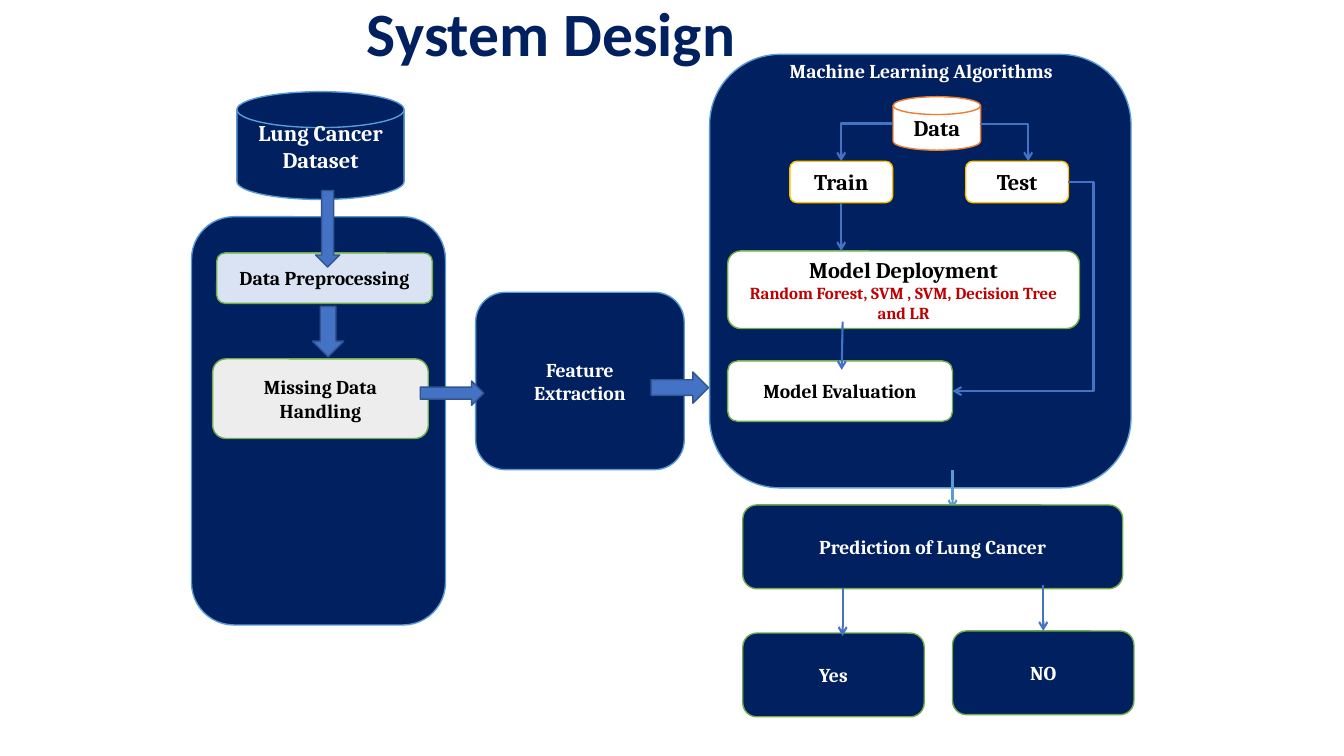
from lxml.etree import SubElement
from pptx import Presentation
from pptx.dml.color import RGBColor
from pptx.enum.shapes import MSO_CONNECTOR, MSO_SHAPE
from pptx.enum.text import MSO_ANCHOR, MSO_AUTO_SIZE, PP_ALIGN
from pptx.oxml.ns import qn
from pptx.util import Pt

NAVY = RGBColor(0x00, 0x20, 0x60)
WHITE = RGBColor(0xFF, 0xFF, 0xFF)
BLACK = RGBColor(0x00, 0x00, 0x00)
PALE_BLUE = RGBColor(0xDA, 0xE3, 0xF3)
PALE_GRAY = RGBColor(0xED, 0xED, 0xED)
SKY = RGBColor(0x5B, 0x9B, 0xD5)
BLUE = RGBColor(0x44, 0x72, 0xC4)
DARK_BLUE = RGBColor(0x32, 0x54, 0x91)
GREEN = RGBColor(0x70, 0xAD, 0x47)
ORANGE = RGBColor(0xED, 0x7D, 0x31)
GOLD = RGBColor(0xFF, 0xC0, 0x00)
RED = RGBColor(0xC0, 0x00, 0x00)


def apply(target, values):
    for name, value in values.items():
        setattr(target, name, value)


class Diagram:
    body_font = "Cambria"
    title_font = "Calibri"
    outline_width = Pt(1)
    arrow_width = Pt(1.5)

    def __init__(self, presentation):
        self.slide = presentation.slides.add_slide(presentation.slide_layouts[5])

    def label(self, shape, lines, anchor=MSO_ANCHOR.MIDDLE, bottom=3.6):
        frame = shape.text_frame
        apply(frame, {"word_wrap": True, "vertical_anchor": anchor,
                      "margin_bottom": Pt(bottom)})
        for index, (text, size, color) in enumerate(lines):
            paragraph = frame.add_paragraph() if index else frame.paragraphs[0]
            paragraph.text = text
            paragraph.alignment = PP_ALIGN.CENTER
            apply(paragraph.font, {"name": self.body_font, "size": Pt(size), "bold": True})
            paragraph.font.color.rgb = color

    def title(self, text, box):
        shape = self.slide.shapes.title
        apply(shape, dict(zip(("left", "top", "width", "height"), map(Pt, box))))
        shape.text = text
        apply(shape.text_frame, {"vertical_anchor": MSO_ANCHOR.TOP, "word_wrap": True,
                                 "auto_size": MSO_AUTO_SIZE.NONE})
        paragraph = shape.text_frame.paragraphs[0]
        apply(paragraph, {"alignment": PP_ALIGN.LEFT, "line_spacing": 0.9})
        apply(paragraph.font, {"name": self.title_font, "size": Pt(44), "bold": True})
        paragraph.font.color.rgb = NAVY

    def shape(self, kind, box, fill, outline, *lines, bottom=3.6):
        shape = self.slide.shapes.add_shape(kind, *map(Pt, box))
        shape.shadow.inherit = False
        shape.fill.solid()
        shape.fill.fore_color.rgb = fill
        shape.line.color.rgb = outline
        shape.line.width = self.outline_width
        if lines:
            self.label(shape, lines, bottom=bottom)
        return shape

    def box(self, box, fill, outline, *lines):
        return self.shape(MSO_SHAPE.ROUNDED_RECTANGLE, box, fill, outline, *lines)

    def disk(self, box, fill, outline, line, bottom=3.6):
        return self.shape(MSO_SHAPE.FLOWCHART_MAGNETIC_DISK, box, fill, outline,
                          line, bottom=bottom)

    def block_arrow(self, kind, box):
        return self.shape(kind, box, BLUE, DARK_BLUE)

    def caption(self, box, line):
        self.label(self.slide.shapes.add_textbox(*map(Pt, box)), [line], MSO_ANCHOR.TOP)

    def arrow(self, start, end, color=BLUE, kind=MSO_CONNECTOR.STRAIGHT):
        connector = self.slide.shapes.add_connector(kind, *map(Pt, start + end))
        connector.line.color.rgb = color
        connector.line.width = self.arrow_width
        properties = connector.element.spPr
        SubElement(properties.find(qn("a:ln")), qn("a:tailEnd"), type="arrow")
        SubElement(properties, qn("a:effectLst"))
        return connector

    def elbow(self, start, end, bend=None):
        connector = self.arrow(start, end, kind=MSO_CONNECTOR.ELBOW)
        geometry = connector.element.spPr.find(qn("a:prstGeom"))
        if bend is None:
            geometry.set("prst", "bentConnector2")
        else:
            SubElement(geometry.find(qn("a:avLst")), qn("a:gd"),
                       name="adj1", fmla=f"val {bend}")


def main():
    presentation = Presentation()
    apply(presentation, {"slide_width": Pt(960), "slide_height": Pt(540)})
    diagram = Diagram(presentation)
    diagram.title("System Design", (254.9, -1.4, 700, 104.4))

    diagram.disk((169.2, 65.5, 119.5, 77), NAVY, SKY,
                 ("Lung Cancer Dataset", 16, WHITE), bottom=16)
    diagram.box((136.8, 154.8, 181.4, 291.6), NAVY, SKY)
    diagram.box((154.8, 180.7, 154, 36), PALE_BLUE, GREEN,
                ("Data Preprocessing", 14, BLACK))
    diagram.box((151.9, 256.3, 154, 56.9), PALE_GRAY, GREEN,
                ("Missing Data Handling", 14, BLACK))

    diagram.box((506.9, 38.9, 301, 309.6), NAVY, SKY)
    diagram.disk((637.9, 69.1, 62.6, 38.2), WHITE, ORANGE, ("Data", 16, BLACK))
    train, test = [
        diagram.box((left, 115.2, 73.4, 29.5), WHITE, GOLD, (text, 16, BLACK))
        for left, text in ((564.2, "Train"), (689.8, "Test"))
    ]
    diagram.box((519.8, 179.3, 251.3, 55.4), WHITE, GREEN,
                ("Model Deployment", 16, BLACK),
                ("Random Forest, SVM , SVM, Decision Tree and LR", 12, RED))
    diagram.box((519.8, 257.8, 160.6, 43.2), WHITE, GREEN,
                ("Model Evaluation", 14, BLACK))

    diagram.elbow((637.9, 88.2), (600.9, 115.2))
    diagram.elbow((700.2, 88.6), (734.4, 115.2))
    diagram.arrow((600.9, 144.7), (600.9, 179.3)).begin_connect(train, 2)
    diagram.arrow((601.9, 229.7), (601.2, 264.2))
    diagram.elbow((763.2, 130), (680.4, 279.4), bend=-21700)
    diagram.arrow((680.4, 335.5), (680.4, 363.6), SKY)

    diagram.box((530.6, 360.7, 271.4, 59.8), NAVY, GREEN,
                ("Prediction of Lung Cancer", 14, WHITE))
    diagram.block_arrow(MSO_SHAPE.DOWN_ARROW, (225.4, 136.1, 17.3, 54.7))
    diagram.caption((553, 38.2, 210.2, 24.5), ("Machine Learning Algorithms", 14, WHITE))
    diagram.box((339.8, 208.8, 149, 126.7), NAVY, SKY,
                ("Feature", 14, WHITE), ("Extraction", 14, WHITE))
    diagram.block_arrow(MSO_SHAPE.RIGHT_ARROW, (300.2, 272.2, 45.4, 17.3))
    diagram.block_arrow(MSO_SHAPE.RIGHT_ARROW, (465.1, 265.7, 41, 22.3))
    diagram.block_arrow(MSO_SHAPE.DOWN_ARROW, (223.2, 218.9, 22.3, 36))

    yes, no = [
        diagram.box((left, top, 129.6, 59.8), NAVY, GREEN, (text, 14, WHITE))
        for left, top, text in ((530.6, 452.2, "Yes"), (680.4, 450.7, "NO"))
    ]
    diagram.arrow((601.9, 419.8), (601.9, 454.3))
    diagram.arrow((745.2, 417.6), (745.2, 450.7)).end_connect(no, 0)
    presentation.save("out.pptx")


if __name__ == "__main__":
    main()
